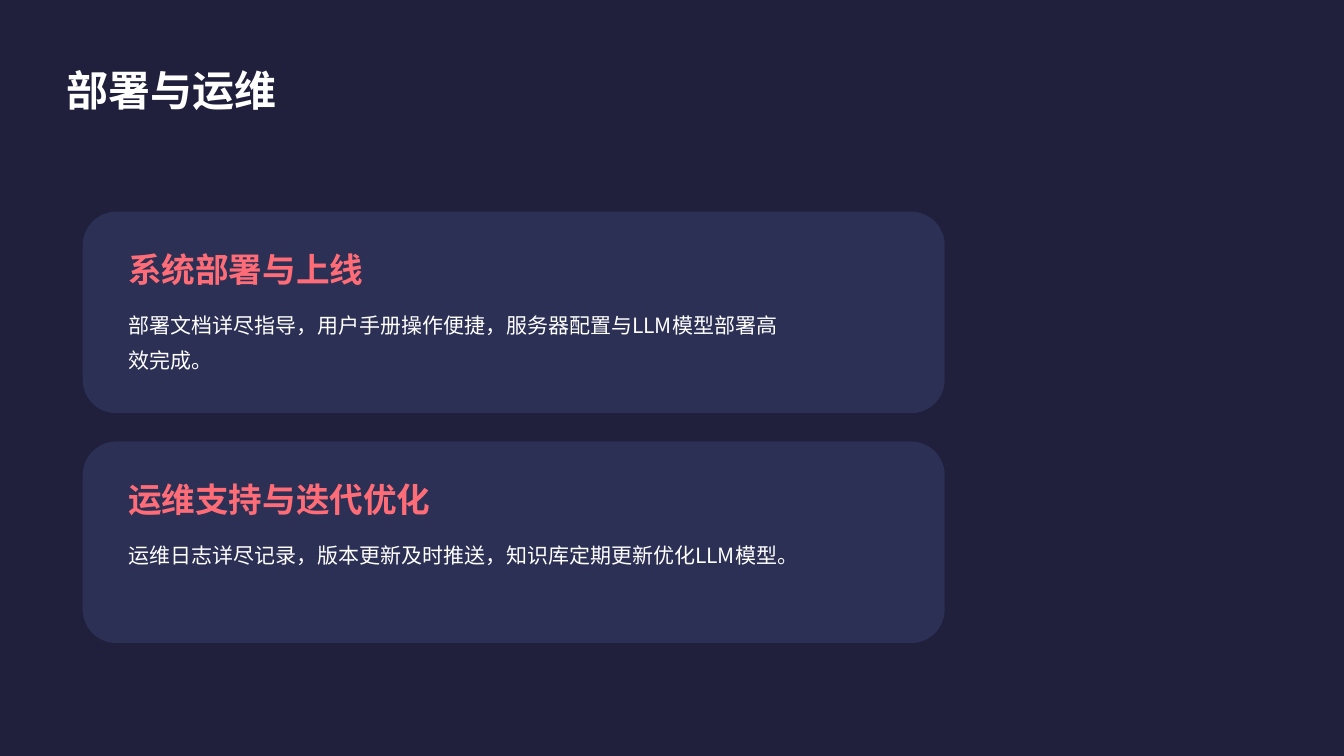
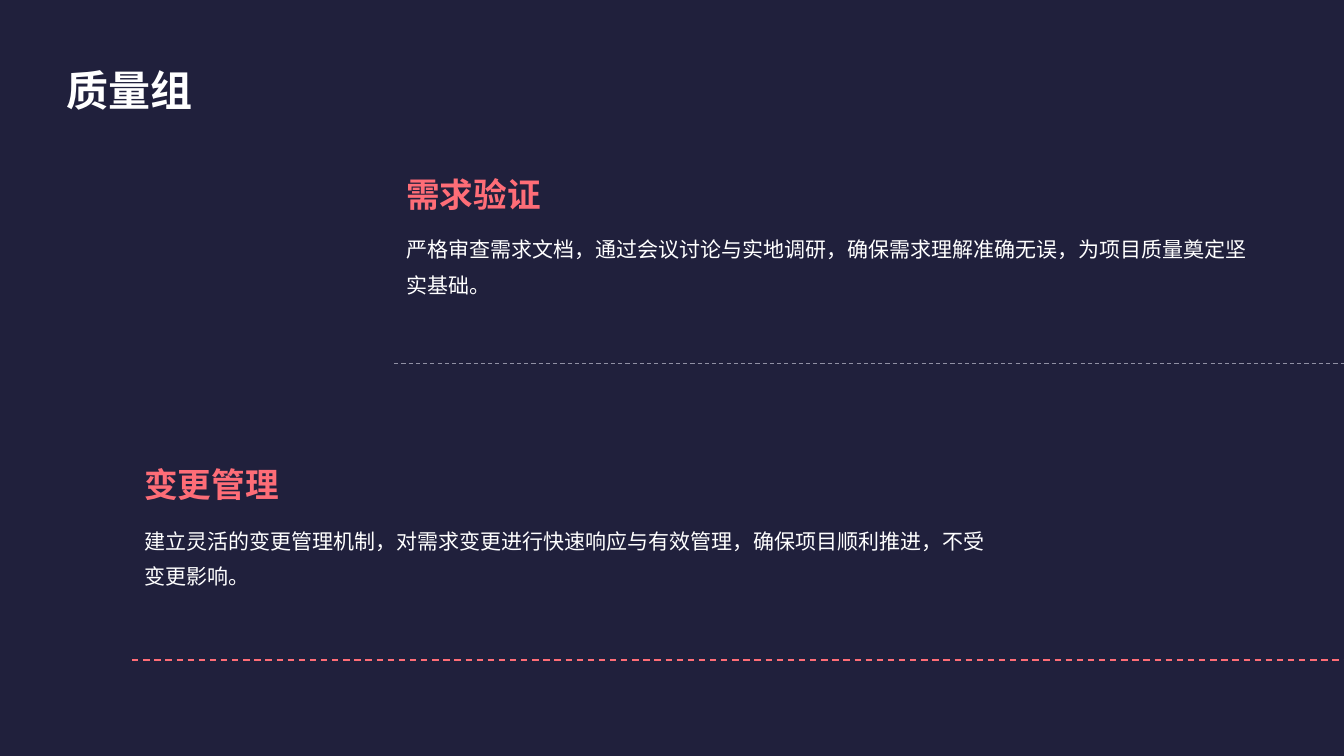
from lxml import etree
from pptx import Presentation
from pptx.dml.color import RGBColor
from pptx.enum.dml import MSO_LINE
from pptx.enum.shapes import MSO_CONNECTOR, MSO_SHAPE
from pptx.enum.text import MSO_ANCHOR, MSO_AUTO_SIZE, PP_ALIGN
from pptx.oxml.ns import qn
from pptx.util import Inches, Pt

NAVY = RGBColor(0x20, 0x20, 0x3C)
SLATE = RGBColor(0x30, 0x35, 0x5C)
CORAL = RGBColor(0xFE, 0x6D, 0x77)
GREY = RGBColor(0x90, 0x90, 0xA4)
WHITE = RGBColor(0xFF, 0xFF, 0xFF)
FONT = "Noto Sans CJK SC"
SLIDE_WIDTH, SLIDE_HEIGHT = 13.33, 7.5

DEPLOYMENT_TITLE = "部署与运维"
DEPLOYMENT_CARDS = [
    ("系统部署与上线",
     "部署文档详尽指导，用户手册操作便捷，服务器配置与LLM模型部署高效完成。"),
    ("运维支持与迭代优化",
     "运维日志详尽记录，版本更新及时推送，知识库定期更新优化LLM模型。"),
]

QUALITY_TITLE = "质量组"
# heading, body, left, heading top, body top, rule top, rule colour, rule width
QUALITY_STEPS = [
    ("需求验证",
     "严格审查需求文档，通过会议讨论与实地调研，确保需求理解准确无误，为项目质量奠定坚实基础。",
     3.89, 1.44, 2.11, 3.61, GREY, 0.75),
    ("变更管理",
     "建立灵活的变更管理机制，对需求变更进行快速响应与有效管理，确保项目顺利推进，不受变更影响。",
     1.29, 4.31, 5.0, 6.55, CORAL, 1.13),
]


def write(frame, text, size, color, bold=False, spacing=1.4, anchor=MSO_ANCHOR.TOP):
    frame.word_wrap = True
    frame.auto_size = MSO_AUTO_SIZE.NONE
    frame.vertical_anchor = anchor
    frame.margin_left = frame.margin_top = frame.margin_bottom = Inches(0.14)
    frame.margin_right = Inches(0.06)
    paragraph = frame.paragraphs[0]
    paragraph.text = text
    paragraph.alignment = PP_ALIGN.LEFT
    paragraph.line_spacing = spacing
    font = paragraph.font
    font.size, font.bold, font.name = Pt(size), bold, FONT
    font.color.rgb = color
    defaults = paragraph._p.pPr.find(qn("a:defRPr"))
    etree.SubElement(defaults, qn("a:ea")).set("typeface", FONT)


def place(shape, left, top, width, height):
    shape.left, shape.top = Inches(left), Inches(top)
    shape.width, shape.height = Inches(width), Inches(height)


def add_titled_slide(prs, title):
    slide = prs.slides.add_slide(prs.slide_layouts[5])
    place(slide.shapes.title, 0.52, 0.29, 12.29, 1)
    write(slide.shapes.title.text_frame, title, 30, WHITE, bold=True,
          anchor=MSO_ANCHOR.MIDDLE)
    return slide


def add_text(slide, left, top, width, height, *args, **style):
    box = slide.shapes.add_textbox(
        Inches(left), Inches(top), Inches(width), Inches(height))
    write(box.text_frame, *args, **style)


def add_heading(slide, left, top, width, height, text, anchor):
    add_text(slide, left, top, width, height, text, 24, CORAL,
             bold=True, spacing=1.2, anchor=anchor)


def add_body(slide, left, top, width, height, text):
    add_text(slide, left, top, width, height, text, 15, WHITE)


def add_card(slide, left, top, width, height):
    card = slide.shapes.add_shape(
        MSO_SHAPE.ROUNDED_RECTANGLE,
        Inches(left), Inches(top), Inches(width), Inches(height))
    card.shadow.inherit = False
    card.fill.solid()
    card.fill.fore_color.rgb = SLATE
    card.line.fill.background()
    color = card.fill._xPr.find(qn("a:solidFill"))[0]
    etree.SubElement(color, qn("a:alpha")).set("val", "80000")


def add_dashed_rule(slide, left, top, color, width):
    """Draw a dashed line from left to the slide's right edge."""
    rule = slide.shapes.add_connector(
        MSO_CONNECTOR.STRAIGHT,
        Inches(left), Inches(top), Inches(SLIDE_WIDTH), Inches(top))
    rule.line.color.rgb = color
    rule.line.width = Pt(width)
    rule.line.dash_style = MSO_LINE.DASH
    etree.SubElement(rule._element.spPr, qn("a:effectLst"))


def build_deployment(prs):
    slide = add_titled_slide(prs, DEPLOYMENT_TITLE)
    card_height, gap = 2, 0.28
    for index, (heading, body) in enumerate(DEPLOYMENT_CARDS):
        top = 2.1 + index * (card_height + gap)
        add_card(slide, 0.82, top, 8.55, card_height)
        add_heading(slide, 1.13, top + 0.18, 6.82, 0.7, heading, MSO_ANCHOR.MIDDLE)
        add_body(slide, 1.13, top + 0.76, 6.82, 1.03, body)


def build_quality(prs):
    slide = add_titled_slide(prs, QUALITY_TITLE)
    for (heading, body, left, heading_top, body_top,
         rule_top, rule_color, rule_width) in QUALITY_STEPS:
        add_heading(slide, left, heading_top, 8.54, 0.83, heading, MSO_ANCHOR.BOTTOM)
        add_body(slide, left, body_top, 8.54, 1.32, body)
        add_dashed_rule(slide, left + 0.02, rule_top, rule_color, rule_width)


def main():
    prs = Presentation()
    prs.slide_width, prs.slide_height = Inches(SLIDE_WIDTH), Inches(SLIDE_HEIGHT)
    background = prs.slide_master.background.fill
    background.solid()
    background.fore_color.rgb = NAVY
    build_deployment(prs)
    build_quality(prs)
    prs.save("out.pptx")


if __name__ == "__main__":
    main()
